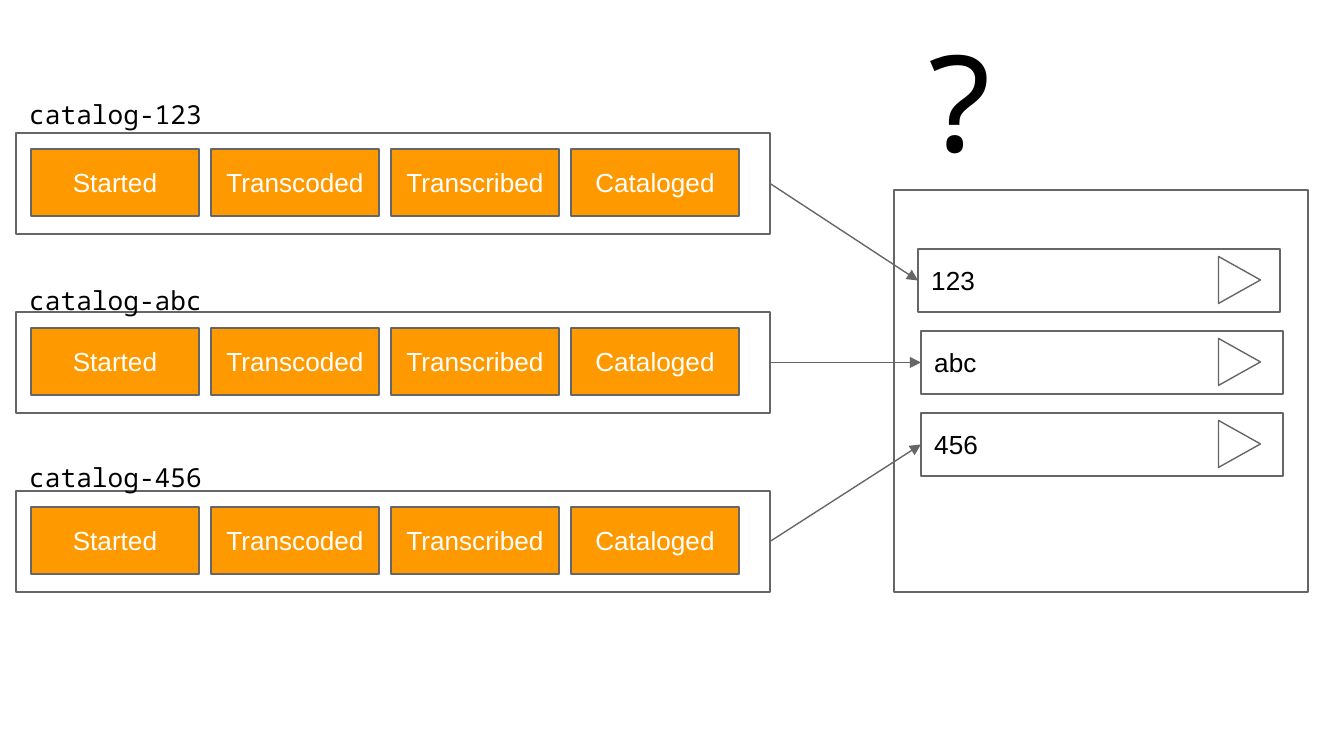
import pptx
import pptx.dml.color
import pptx.enum.shapes
import pptx.enum.text
import pptx.oxml
import pptx.oxml.ns
import pptx.util

SHAPE = pptx.enum.shapes.MSO_SHAPE
ALIGN = pptx.enum.text.PP_ALIGN
ANCHOR = pptx.enum.text.MSO_ANCHOR
RIGHT_SITE, LEFT_SITE = 3, 1


def px(length):
    return pptx.util.Emu(round(length * 914400 / 134.4))


def color(value):
    return pptx.dml.color.RGBColor.from_string(value)


class Board:
    """Draws styled boxes, labels and arrows on the current slide."""

    white, black, gray, orange = "FFFFFF", "000000", "666666", "FF9900"
    sans, mono = "Arial", "Noto Sans Mono"
    inset = pptx.util.Inches(0.1)
    line_width = pptx.util.Pt(0.75)

    def __init__(self, slide):
        self.slide = slide

    def set_text(self, shape, text, font, size, ink, align, anchor):
        frame = shape.text_frame
        frame.word_wrap = True
        frame.vertical_anchor = anchor
        frame.margin_left = frame.margin_right = self.inset
        frame.margin_top = frame.margin_bottom = self.inset
        paragraph = frame.paragraphs[0]
        paragraph.text = text
        paragraph.alignment = align
        paragraph.font.name = font
        paragraph.font.size = pptx.util.Pt(size)
        paragraph.font.color.rgb = color(ink)

    def box(self, bounds, text="", fill=white, ink=black, align=ALIGN.LEFT,
            kind=SHAPE.RECTANGLE, group=None):
        parent = group or self.slide
        shape = parent.shapes.add_shape(kind, *map(px, bounds))
        shape.shadow.inherit = False
        shape.fill.solid()
        shape.fill.fore_color.rgb = color(fill)
        shape.line.color.rgb = color(self.gray)
        shape.line.width = self.line_width
        if text:
            self.set_text(shape, text, self.sans, 14, ink, align, ANCHOR.MIDDLE)
        return shape

    def label(self, bounds, text, size=14, align=ALIGN.LEFT, anchor=ANCHOR.TOP):
        shape = self.slide.shapes.add_textbox(*map(px, bounds))
        self.set_text(shape, text, self.mono, size, self.black, align, anchor)

    def lane(self, top, stages):
        group = self.slide.shapes.add_group_shape()
        frame = self.box((16, top, 754, 101), group=group)
        for column, stage in enumerate(stages):
            self.box((31 + 180 * column, top + 16, 168, 67), stage, self.orange,
                     self.white, ALIGN.CENTER, group=group)
        return frame

    def play_button(self, top):
        triangle = self.box((1216, top, 47, 42), kind=SHAPE.ISOSCELES_TRIANGLE)
        triangle.rotation = 90

    def arrow(self, source, target):
        connector = self.slide.shapes.add_connector(
            pptx.enum.shapes.MSO_CONNECTOR.STRAIGHT, 0, 0, 0, 0)
        connector.begin_connect(source, RIGHT_SITE)
        connector.end_connect(target, LEFT_SITE)
        connector.line.color.rgb = color(self.gray)
        connector.line.width = self.line_width
        head = pptx.oxml.parse_xml(
            f'<a:tailEnd {pptx.oxml.ns.nsdecls("a")} type="triangle"/>')
        connector.line._get_or_add_ln().append(head)
        effects = pptx.oxml.parse_xml(f'<a:effectLst {pptx.oxml.ns.nsdecls("a")}/>')
        connector._element.spPr.append(effects)


def main():
    presentation = pptx.Presentation()
    presentation.slide_width, presentation.slide_height = px(1344), px(756)
    blank_layout = presentation.slide_layouts[6]
    board = Board(presentation.slides.add_slide(blank_layout))

    stages = ["Started", "Transcoded", "Transcribed", "Cataloged"]
    catalogs = [("123", 85, 918), ("abc", 271, 921), ("456", 448, 921)]

    lanes = [board.lane(133 + 179 * index, stages) for index in range(len(catalogs))]
    for name, label_top, _ in catalogs:
        board.label((16, label_top, 707, 28), f"catalog-{name}")

    board.box((894, 190, 414, 402))
    entries = [board.box((left, 249 + 82 * index, 362, 63), name)
               for index, (name, _, left) in enumerate(catalogs)]
    for index in range(len(entries)):
        board.play_button(259 + 82 * index)
    for lane, entry in zip(lanes, entries):
        board.arrow(lane, entry)

    board.label((853, 32, 211, 133), "?", 72, ALIGN.CENTER, ANCHOR.MIDDLE)
    presentation.save("out.pptx")


if __name__ == "__main__":
    main()
